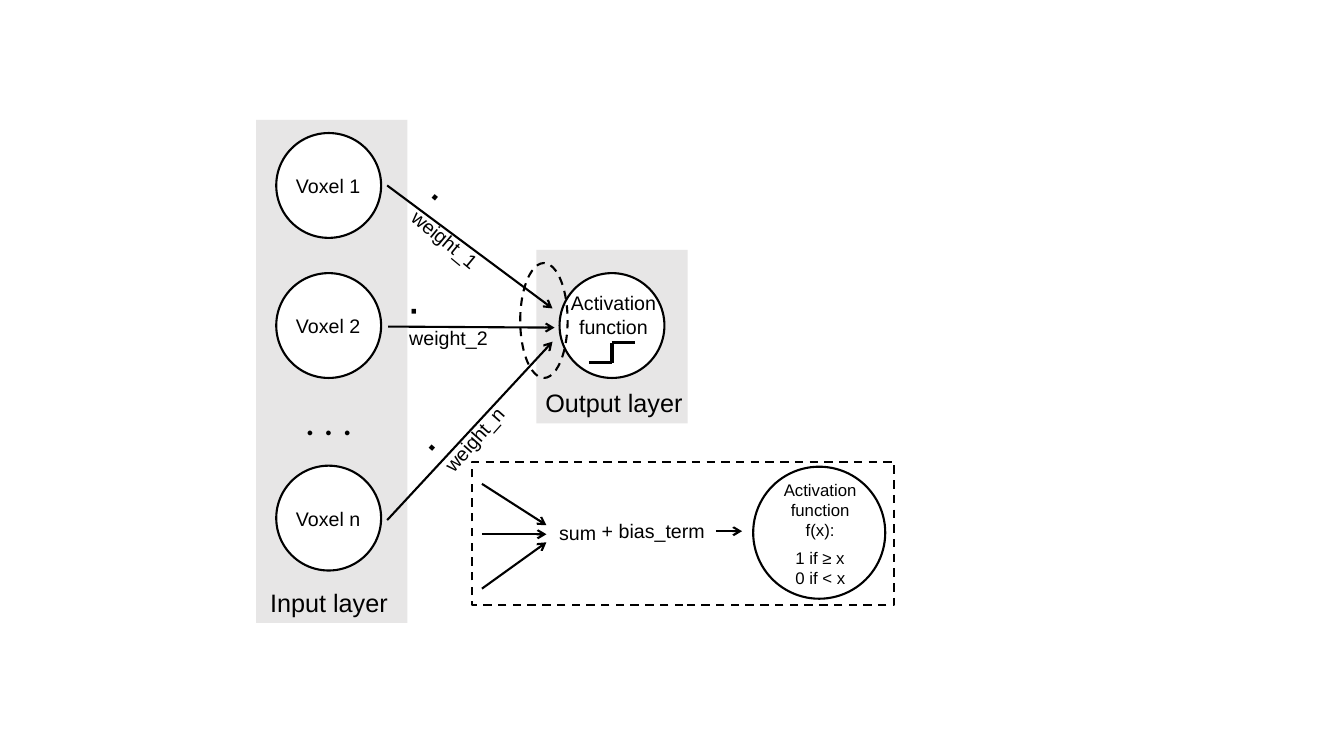
from lxml import etree
from pptx import Presentation
from pptx import util as u
from pptx.dml.color import RGBColor
from pptx.enum import dml, shapes, text
from pptx.oxml import ns

BLACK, WHITE, GREY = "000000", "FFFFFF", "E7E6E6"
NODE = 1.04
INPUT_X, OUTPUT_X = 2.74, 5.55
LABEL_W, LABEL_H = 1.17, 0.34

# Content: (label, node top, arrow start, arrow end, weight, weight box left and top, angle)
INPUTS = [
    ("Voxel 1", 1.32, (3.84, 1.84), (5.48, 3.06), " weight_1", (4.08, 2.01), 39.7),
    ("Voxel 2", 2.71, (3.85, 3.24), (5.5, 3.25), " weight_2", (3.96, 2.88), 0),
    ("Voxel n", 4.62, (3.84, 5.16), (5.48, 3.39), " weight_n", (3.99, 3.93), 311.4),
]
# Layers: (title, panel box, title box)
LAYERS = [
    ("Output layer", (5.32, 2.48, 1.5, 1.72), (5.31, 3.79, 1.58, 0.4)),
    ("Input layer", (2.54, 1.19, 1.5, 4.99), (2.58, 5.78, 1.38, 0.4)),
]
# Inset arrows: (start height, end height)
INSET_ARROWS = [(4.8, 5.21), (5.3, 5.3), (5.84, 5.38)]
STEP = [(5.84, 3.6), (6.07, 3.6), (6.07, 3.4), (6.3, 3.4)]

presentation = Presentation()
presentation.slide_width, presentation.slide_height = u.Inches(13.33), u.Inches(7.5)
slide = presentation.slides.add_slide(presentation.slide_layouts[6])


def color(value):
    return RGBColor.from_string(value)


def inches(values):
    return [u.Inches(value) for value in values]


def add_shape(kind, box, fill=None, line=None, dashed=False):
    shape = slide.shapes.add_shape(kind, *inches(box))
    shape.shadow.inherit = False
    if fill:
        shape.fill.solid()
        shape.fill.fore_color.rgb = color(fill)
    else:
        shape.fill.background()
    if line:
        shape.line.color.rgb = color(line)
        shape.line.width = u.Pt(1.5)
        if dashed:
            shape.line.dash_style = dml.MSO_LINE.DASH
    else:
        shape.line.fill.background()


def add_circle(left, top, size=NODE):
    add_shape(shapes.MSO_SHAPE.OVAL, (left, top, size, size), WHITE, BLACK)


def add_line(start, end, width=1.5, arrow=True):
    line = slide.shapes.add_connector(shapes.MSO_CONNECTOR.STRAIGHT, *inches(start + end))
    line.line.color.rgb = color(BLACK)
    line.line.width = u.Pt(width)
    if arrow:
        etree.SubElement(line.line._get_or_add_ln(), ns.qn("a:tailEnd"), type="arrow")
    etree.SubElement(line._element.spPr, ns.qn("a:effectLst"))


def add_text(box, paragraphs, size=14, font="Arial", centred=True, wrap=True):
    """Each paragraph is a list of (text, size, bold) runs or a plain string."""
    shape = slide.shapes.add_textbox(*inches(box))
    frame = shape.text_frame
    frame.word_wrap = wrap
    for index, runs in enumerate(paragraphs):
        paragraph = frame.paragraphs[0] if index == 0 else frame.add_paragraph()
        paragraph.alignment = text.PP_ALIGN.CENTER if centred else text.PP_ALIGN.LEFT
        if isinstance(runs, str):
            runs = [(runs, size, False)]
        for words, points, bold in runs:
            run = paragraph.add_run()
            run.text = words
            run.font.name, run.font.size, run.font.bold = font, u.Pt(points), bold
            run.font.color.rgb = color(BLACK)
    return shape


# Layer panels and titles
for title, panel, title_box in LAYERS:
    add_shape(shapes.MSO_SHAPE.RECTANGLE, panel, GREY)
for title, panel, title_box in LAYERS:
    add_text(title_box, [title], 18, centred=False, wrap=False)

# Input and output nodes
add_circle(OUTPUT_X, INPUTS[1][1])
for label, top, start, end, weight, corner, angle in INPUTS:
    add_circle(INPUT_X, top)
    add_text((INPUT_X - 0.07, top + 0.36, LABEL_W, LABEL_H), [label])
add_text((2.92, 3.88, 0.68, 0.57), [". . ."], 28, "Calibri", wrap=False)

# Weighted connections
for label, top, start, end, weight, corner, angle in INPUTS:
    add_line(start, end)
    weight_box = add_text(corner + (1.11, 0.4), [[("⋅", 18, True), (weight, 14, False)]],
                          centred=False)
    weight_box.text_frame.margin_right = u.Inches(0.15)
    weight_box.rotation = angle

# Inset: summation and threshold
add_shape(shapes.MSO_SHAPE.RECTANGLE, (4.68, 4.58, 4.19, 1.42), None, BLACK, True)
for start_y, end_y in INSET_ARROWS:
    add_line((4.78, start_y), (5.42, end_y))
add_circle(7.47, 4.63, 1.31)
add_text((5.87, 5.1, 1.23, LABEL_H), ["+ bias_term"], centred=False, wrap=False)
add_text((5.27, 5.12, 0.92, LABEL_H), ["sum"])
add_text((7.55, 4.71, LABEL_W, 0.71), ["Activation function", "f(x):"], 12)
add_line((7.1, 5.27), (7.36, 5.27))
add_text((7.79, 5.38, 0.7, 0.5), ["1 if ≥ x", "0 if < x"], 12, centred=False, wrap=False)

# Output node: gathered inputs, step curve and label
add_shape(shapes.MSO_SHAPE.OVAL, (5.16, 2.61, 0.47, 1.14), None, BLACK, True)
for start, end in zip(STEP, STEP[1:]):
    add_line(start, end, 2.25, arrow=False)
add_text((5.5, 2.84, LABEL_W, 0.57), ["Activation function"])

presentation.save("out.pptx")
